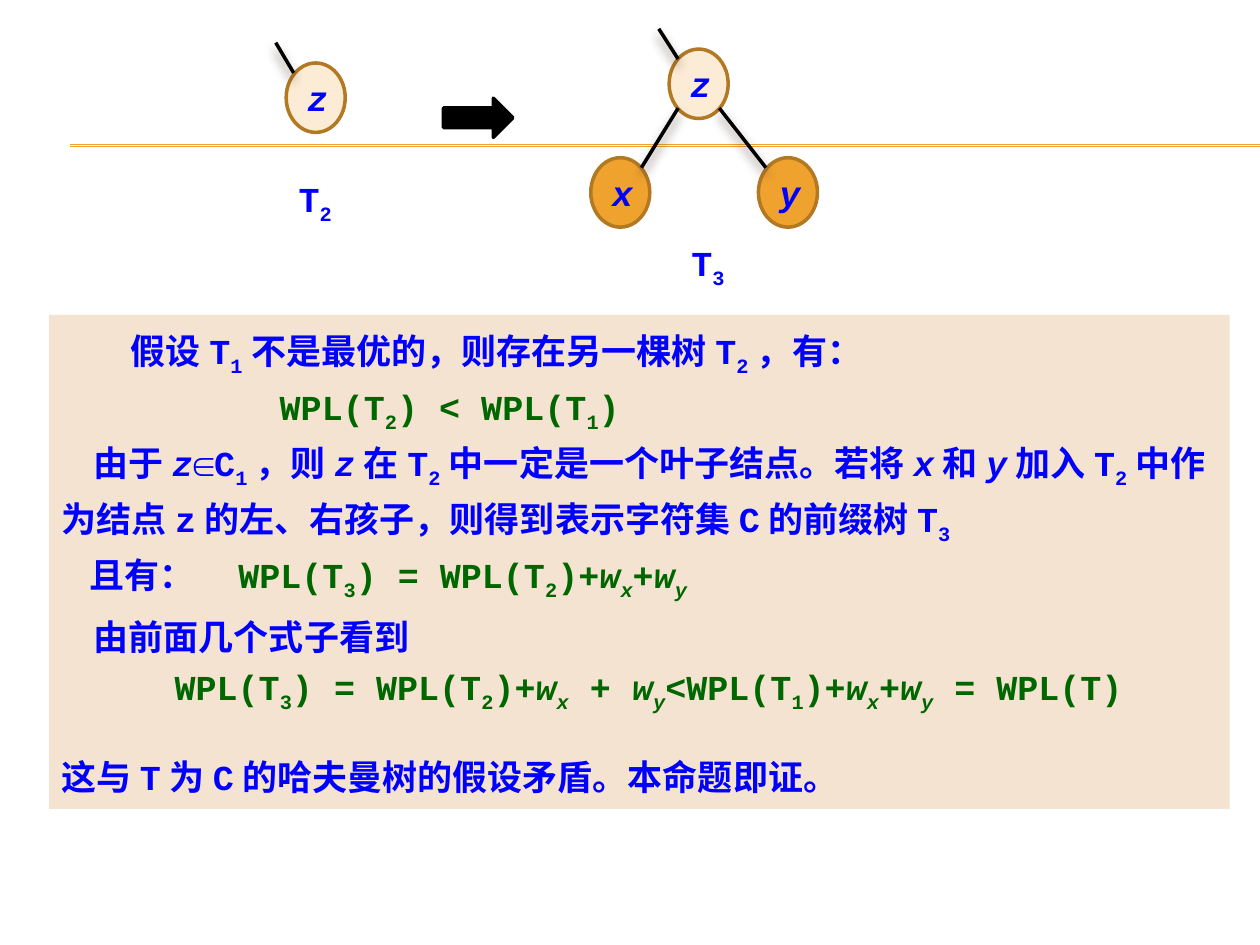
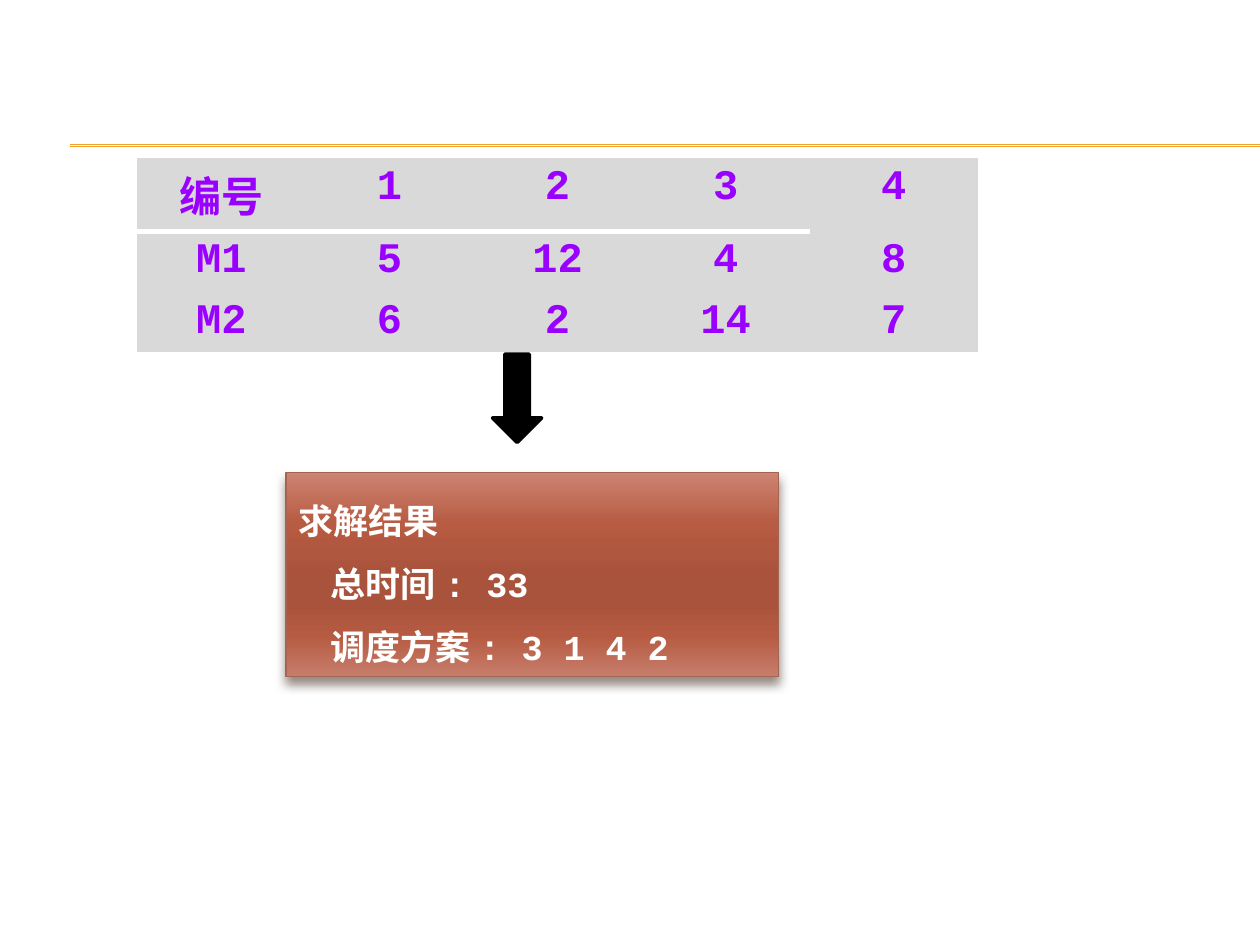
from itertools import groupby

from lxml.etree import SubElement
from pptx import Presentation
from pptx.dml.color import RGBColor
from pptx.enum.shapes import MSO_CONNECTOR, MSO_SHAPE
from pptx.enum.text import MSO_ANCHOR, PP_ALIGN
from pptx.oxml.ns import qn
from pptx.util import Cm, Pt

FACE = "Courier New"
BLUE, GREEN, PURPLE = "0000FF", "006600", "9900FF"
BLACK, WHITE, GRAY = "000000", "FFFFFF", "D9D9D9"
GOLD, CREAM, BROWN = "F0A22E", "FCECD5", "B27822"
SAND, BRICK, SHADE = "F5E3D1", "A5644E", "4E3B30"
PLAIN_TABLE = "{2D5ABB26-0587-4C30-8999-92F81FD0307C}"
NODE_W, NODE_H = 1.19, 1.4

# Text, colour and first-line indent in cm
PROOF = [
    ("假设T_1不是最优的，则存在另一棵树T_2，有：", BLUE, 1.4),
    ("WPL(T_2) < WPL(T_1)", GREEN, 4.4),
    ("由于*z*∈C_1，则*z*在T_2中一定是一个叶子结点。若将*x*和*y*加入T_2中作为结点z的"
     "左、右孩子，则得到表示字符集C的前缀树T_3", BLUE, 0.65),
    ("且有：　#WPL(T_3) = WPL(T_2)+*w_x*+*w_y*", BLUE, 0.57),
    ("由前面几个式子看到", BLUE, 0.65),
    ("WPL(T_3) = WPL(T_2)+*w_x* + *w_y*<WPL(T_1)+*w_x*+*w_y* = WPL(T)", GREEN, 2.28),
    ("这与T为C的哈夫曼树的假设矛盾。本命题即证。", BLUE, 0),
]
JOBS = [
    ["编号", "1", "2", "3", "4"],
    ["M1", "5", "12", "4", "8"],
    ["M2", "6", "2", "14", "7"],
]
RESULT = [("求解结果", 0), ("总时间: 33", 0.65), ("调度方案: 3 1 4 2", 0.65)]
BRICK_STOPS = [(0, "CD8473"), (25, "B75B42"), (50, "AA533C"),
               (65, "AA533C"), (80, "B65B42"), (100, "C77D6B")]


def color(code):
    return RGBColor.from_string(code)


def paint(fill, code):
    fill.solid()
    fill.fore_color.rgb = color(code)


def add_tone(parent, code):
    return SubElement(parent, qn("a:srgbClr"), val=code)


def cast(shape):
    """Give a shape or connector the soft shadow that falls straight down."""
    props = shape._element.spPr
    effects = props.find(qn("a:effectLst"))
    if effects is None:
        effects = SubElement(props, qn("a:effectLst"))
    outer = SubElement(effects, qn("a:outerShdw"), blurRad=str(Pt(6)),
                       dist=str(Pt(4)), dir="5400000", rotWithShape="0")
    SubElement(add_tone(outer, SHADE), qn("a:alpha"), val="60000")


def blend(shape, stops):
    """Fill a shape from top to bottom with (percent, colour) stops."""
    shape.fill.gradient()
    shape.fill.gradient_angle = 270
    marks = shape._element.spPr.find(".//" + qn("a:gsLst"))
    for old in list(marks):
        marks.remove(old)
    for percent, code in stops:
        add_tone(SubElement(marks, qn("a:gs"), pos=str(percent * 1000)), code)


def split(text, tone):
    """Yield (char, italic, sub, colour): * toggles italic, _ lowers, # turns green."""
    italic = sub = False
    for char in text:
        if char == "*":
            italic = not italic
        elif char == "_":
            sub = True
        elif char == "#":
            tone = GREEN
        else:
            yield char, italic, sub, tone
            sub = False


def write(par, text, tone, size=20, indent=0, align=PP_ALIGN.LEFT, space=None):
    par.alignment = align
    if space:
        par.line_spacing = space
    if indent:
        par._p.get_or_add_pPr().set("indent", str(Cm(indent)))
    font = par.font
    font.name, font.size, font.bold = FACE, Pt(size), True
    font.color.rgb = color(tone)
    for (italic, sub, shade), chars in groupby(split(text, tone), lambda c: c[1:]):
        run = par.add_run()
        run.text = "".join(c[0] for c in chars)
        if italic:
            run.font.italic = True
        if sub:
            run.font._element.set("baseline", "-25000")
        if shade != tone:
            run.font.color.rgb = color(shade)


def add_par(frame, index):
    return frame.add_paragraph() if index else frame.paragraphs[0]


def add_form(slide, kind, left, top, width, height, fill=None, line=None, weight=2):
    form = slide.shapes.add_shape(kind, Cm(left), Cm(top), Cm(width), Cm(height))
    if fill:
        paint(form.fill, fill)
    if line:
        form.line.color.rgb = color(line)
        form.line.width = Pt(weight)
    else:
        form.line.fill.background()
    form.shadow.inherit = False
    form.text_frame.word_wrap = True
    form.text_frame.vertical_anchor = MSO_ANCHOR.TOP
    return form


def add_line(slide, start, end, tone, weight, shadow=False):
    line = slide.shapes.add_connector(
        MSO_CONNECTOR.STRAIGHT, *(Cm(n) for n in (*start, *end)))
    line.line.color.rgb = color(tone)
    line.line.width = Pt(weight)
    if shadow:
        cast(line)
    else:
        SubElement(line._element.spPr, qn("a:effectLst"))


def add_node(slide, name, left, top, fill):
    node = add_form(slide, MSO_SHAPE.OVAL, left, top, NODE_W, NODE_H, fill, BROWN)
    frame = node.text_frame
    frame.vertical_anchor = MSO_ANCHOR.MIDDLE
    write(frame.paragraphs[0], f"*{name}*", BLUE, align=PP_ALIGN.CENTER)


def add_label(slide, text, left, top):
    box = slide.shapes.add_textbox(Cm(left), Cm(top), Cm(1.4), Cm(1.12))
    box.text_frame.word_wrap = True
    write(box.text_frame.paragraphs[0], text, BLUE)


def add_jobs(slide):
    table = slide.shapes.add_table(len(JOBS), len(JOBS[0]), Cm(2.77), Cm(3.18),
                                   Cm(16.94), Cm(3.1)).table
    table.first_row = table.horz_banding = False
    table._tbl.tblPr.find(qn("a:tableStyleId")).text = PLAIN_TABLE
    for r, row in enumerate(JOBS):
        for c, text in enumerate(row):
            cell = table.cell(r, c)
            paint(cell.fill, GRAY)
            write(cell.text_frame.paragraphs[0], text, PURPLE, 24,
                  align=PP_ALIGN.CENTER)
            if r == 0 and c < len(row) - 1:
                rule_off(cell)


def rule_off(cell):
    """Draw a white line under a table cell."""
    props = cell._tc.get_or_add_tcPr()
    edge = SubElement(props, qn("a:lnB"), w=str(Pt(3)))
    add_tone(SubElement(edge, qn("a:solidFill")), WHITE)
    props.insert(0, edge)


def add_page(deck):
    """Add a blank slide with the double gold rule."""
    slide = deck.slides.add_slide(deck.slide_layouts[6])
    for y in (2.92, 2.95):
        add_line(slide, (1.42, y), (25.4, y), GOLD, 0.75)
    return slide


def draw_proof(slide):
    panel = add_form(slide, MSO_SHAPE.RECTANGLE, 0.99, 6.35, 23.8, 9.96, SAND)
    for i, (text, tone, indent) in enumerate(PROOF):
        space = 2.0 if i == len(PROOF) - 1 else Pt(32)
        write(add_par(panel.text_frame, i), text, tone, indent=indent, space=space)
    for name, left, top, fill in [("z", 13.49, 0.99, CREAM), ("x", 11.91, 3.18, GOLD),
                                  ("y", 15.29, 3.18, GOLD), ("z", 5.77, 1.27, CREAM)]:
        add_node(slide, name, left, top, fill)
    for start, end in [((13.67, 2.18), (12.93, 3.38)), ((14.5, 2.18), (15.44, 3.38)),
                       ((13.28, 0.58), (13.67, 1.19)), ((5.56, 0.86), (5.92, 1.47))]:
        add_line(slide, start, end, BLACK, 2, shadow=True)
    add_label(slide, "T_3", 13.69, 4.75)
    add_label(slide, "T_2", 5.77, 3.45)
    add_form(slide, MSO_SHAPE.RIGHT_ARROW, 8.94, 1.98, 1.4, 0.79, BLACK, BLACK)


def draw_jobs(slide):
    add_jobs(slide)
    card = add_form(slide, MSO_SHAPE.RECTANGLE, 5.77, 9.53, 9.93, 4.11,
                    line=BRICK, weight=0.79)
    blend(card, BRICK_STOPS)
    cast(card)
    for i, (text, indent) in enumerate(RESULT):
        write(add_par(card.text_frame, i), text, WHITE, indent=indent, space=1.5)
    add_form(slide, MSO_SHAPE.DOWN_ARROW, 9.93, 7.14, 0.99, 1.78, BLACK, BLACK)


def main():
    deck = Presentation()
    deck.slide_width, deck.slide_height = Cm(25.4), Cm(19.05)
    draw_proof(add_page(deck))
    draw_jobs(add_page(deck))
    deck.save("out.pptx")


if __name__ == "__main__":
    main()
